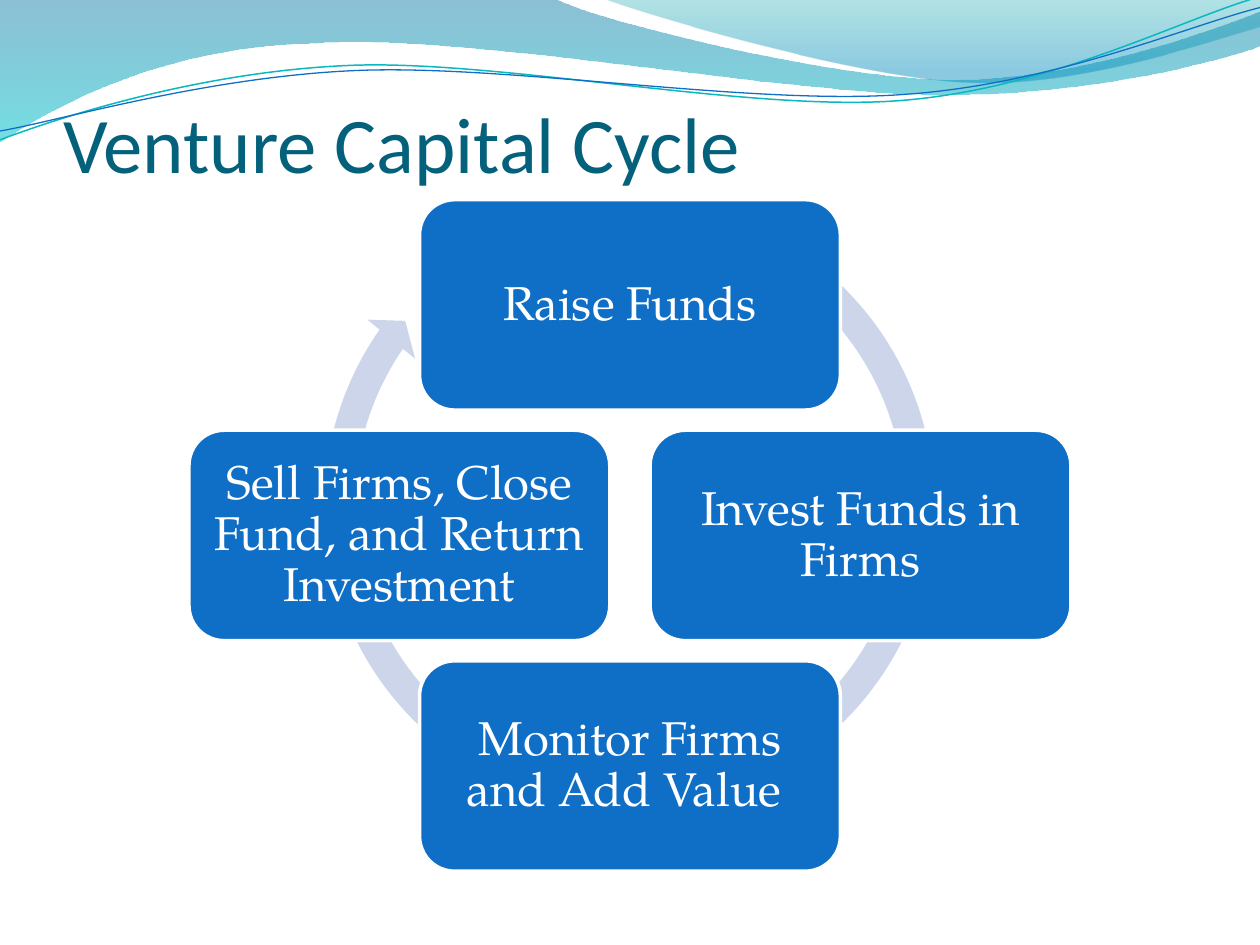
from dataclasses import dataclass

from lxml.etree import SubElement
from pptx import Presentation
from pptx.dml.color import RGBColor
from pptx.enum.shapes import MSO_SHAPE
from pptx.enum.text import MSO_ANCHOR, PP_ALIGN
from pptx.oxml.ns import qn
from pptx.util import Inches, Pt

Point = tuple[float, float]


@dataclass(frozen=True)
class Theme:
    title_font: str = "Calibri"
    body_font: str = "TeX Gyre Pagella"
    title_size: float = 45
    body_size: float = 27
    title: str = "04617B"
    box: str = "0F6FC6"
    ring: str = "CCD5EA"
    white: str = "FFFFFF"
    teal_line: str = "0AB8BF"


@dataclass(frozen=True)
class Stop:
    position: float
    color: str
    opacity: int


@dataclass(frozen=True)
class Wave:
    """A start point and segments: 2 numbers for a line, 6 for a Bezier curve."""
    start: Point
    segments: list[tuple[float, ...]]
    stops: tuple[Stop, ...] = ()
    line: str = ""
    width: float = 0


@dataclass(frozen=True)
class Step:
    text: str
    column: int
    row: int


THEME = Theme()

WAVES = [
    Wave((0, 0), [(4.4, -0.01), (4.76, 0.17, 6.64, 0.63, 7.58, 0.63),
                  (8.53, 0.63, 9.58, 0.26, 10, 0.09), (10.01, 0.36),
                  (9.83, 0.44, 8.7, 0.76, 7.46, 0.75),
                  (6.22, 0.75, 3.82, 0.28, 2.57, 0.34),
                  (1.29, 0.36, 0.46, 0.83, -0.01, 1.13), (0, 0)],
         stops=(Stop(0, "0074A1", 45), Stop(1, "00C6CF", 55))),
    Wave((4.79, -0.01), [(5.09, 0.11, 6.82, 0.62, 7.69, 0.65),
                         (8.56, 0.69, 9.61, 0.32, 10, 0.21), (10, 0), (4.79, -0.01)],
         stops=(Stop(0, "00A1A9", 30), Stop(0.8, "008BBF", 45))),
    Wave((0, 1.11), [(0.48, 0.93, 1.58, 0.57, 2.77, 0.52),
                     (3.95, 0.47, 5.93, 0.89, 7.13, 0.8),
                     (8.33, 0.71, 9.38, 0.15, 9.98, -0.02)],
         line=THEME.teal_line, width=0.85),
    Wave((0, 1.04), [(0.47, 0.96, 1.64, 0.61, 2.83, 0.56),
                     (4.03, 0.51, 5.97, 0.84, 7.17, 0.75),
                     (8.36, 0.67, 9.41, 0.21, 10, 0.06)],
         line=THEME.box, width=0.75),
]

# Columns and rows count outward from the centre of the cycle
STEPS = [
    Step("Raise Funds", 0, -1),
    Step("Invest Funds in Firms", 1, 0),
    Step("Monitor Firms and Add Value ", 0, 1),
    Step("Sell Firms, Close Fund, and Return Investment", -1, 0),
]
BOX_W, BOX_H, PITCH = 3.34, 1.67, 1.83
CENTER_X, CENTER_Y = 5, 4.25


def rgb(color: str) -> RGBColor:
    return RGBColor.from_string(color)


def set_font(font, **values) -> None:
    color = values.pop("color")
    for name, value in values.items():
        setattr(font, name, value)
    font.color.rgb = rgb(color)


def bend(sp, wave: Wave) -> None:
    """Join each three line points of a curved segment into one Bezier curve."""
    nodes = iter(list(sp.element.spPr.iter(qn("a:lnTo"))))
    for seg in wave.segments:
        node = next(nodes)
        if len(seg) == 2:
            continue
        curve = node.makeelement(qn("a:cubicBezTo"))
        node.addprevious(curve)
        for part in (node, next(nodes), next(nodes)):
            curve.append(part[0])
            part.getparent().remove(part)


def draw_wave(s, wave: Wave):
    points = [(Inches(seg[i]), Inches(seg[i + 1]))
              for seg in wave.segments for i in range(0, len(seg), 2)]
    builder = s.shapes.build_freeform(*map(Inches, wave.start), scale=1.0)
    builder.add_line_segments(points, close=bool(wave.stops))
    sp = builder.convert_to_shape()
    bend(sp, wave)
    sp.shadow.inherit = False
    if not wave.stops:
        sp.fill.background()
        sp.line.color.rgb = rgb(wave.line)
        sp.line.width = Pt(wave.width)
        return sp
    sp.line.fill.background()
    sp.fill.gradient()
    sp.fill.gradient_angle = 270
    for stop, value in zip(sp.fill.gradient_stops, wave.stops):
        stop.position = value.position
        stop.color.rgb = rgb(value.color)
    colors = list(sp.element.spPr.iter(qn("a:srgbClr")))
    for color, value in zip(colors, wave.stops):
        SubElement(color, qn("a:alpha"), val=str(value.opacity * 1000))
    return sp


def draw_header(prs, s) -> None:
    """Draw the waves and place them on the slide master, behind its placeholders."""
    first = prs.slide_master.shapes[0].element
    for number, wave in enumerate(WAVES, start=101):
        sp = draw_wave(s, wave)
        sp.element.nvSpPr.cNvPr.set("id", str(number))
        first.addprevious(sp.element)


def draw_title(s, text: str) -> None:
    sp = s.shapes.title
    sp.left, sp.top, sp.width, sp.height = map(Inches, (0.5, 0.77, 9, 0.73))
    tf = sp.text_frame
    tf.text = text
    frame = dict(margin_left=0, margin_top=Inches(0.05), margin_right=0,
                 margin_bottom=0, vertical_anchor=MSO_ANCHOR.BOTTOM)
    for name, value in frame.items():
        setattr(tf, name, value)
    p = tf.paragraphs[0]
    p.alignment = PP_ALIGN.LEFT
    set_font(p.runs[0].font, name=THEME.title_font, size=Pt(THEME.title_size),
             color=THEME.title)


def draw_ring(s) -> None:
    sp = s.shapes.add_shape(MSO_SHAPE.CIRCULAR_ARROW,
                            *map(Inches, (2.45, 1.46, 5.09, 5.09)))
    for i, value in enumerate((0.047, 2.729, 128.873, 179.929, 0.048)):
        sp.adjustments[i] = value
    sp.shadow.inherit = False
    sp.fill.solid()
    sp.fill.fore_color.rgb = rgb(THEME.ring)
    sp.line.fill.background()


def draw_step(s, step: Step) -> None:
    left = CENTER_X + step.column * PITCH - BOX_W / 2
    top = CENTER_Y + step.row * PITCH - BOX_H / 2
    sp = s.shapes.add_shape(MSO_SHAPE.ROUNDED_RECTANGLE,
                            *map(Inches, (left, top, BOX_W, BOX_H)))
    sp.shadow.inherit = False
    sp.fill.solid()
    sp.fill.fore_color.rgb = rgb(THEME.box)
    sp.line.color.rgb = rgb(THEME.white)
    sp.line.width = Pt(2)
    tf = sp.text_frame
    tf.word_wrap = True
    tf.vertical_anchor = MSO_ANCHOR.MIDDLE
    for side in ("left", "top", "right", "bottom"):
        setattr(tf, f"margin_{side}", Inches(0.11))
    p = tf.paragraphs[0]
    p.alignment = PP_ALIGN.CENTER
    p.line_spacing = 0.9
    r = p.add_run()
    r.text = step.text
    set_font(r.font, name=THEME.body_font, size=Pt(THEME.body_size), color=THEME.white)


def main() -> None:
    prs = Presentation()
    prs.slide_width, prs.slide_height = Inches(10), Inches(7.5)
    s = prs.slides.add_slide(prs.slide_layouts[5])

    # Header waves and title
    draw_header(prs, s)
    draw_title(s, "Venture Capital Cycle")

    # Cycle
    draw_ring(s)
    for step in STEPS:
        draw_step(s, step)

    prs.save("out.pptx")


if __name__ == "__main__":
    main()
